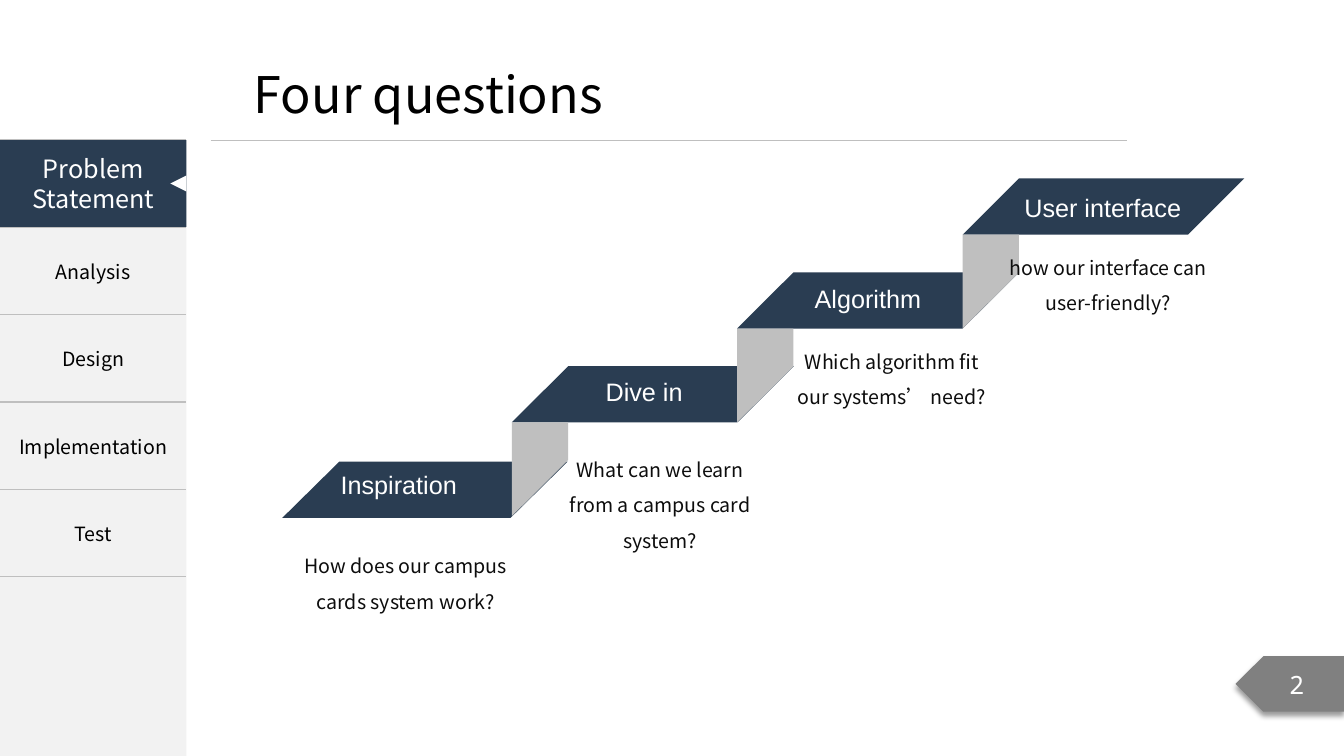
from dataclasses import dataclass

from lxml import etree
from pptx import Presentation
from pptx.dml.color import RGBColor
from pptx.enum.shapes import MSO_CONNECTOR, MSO_SHAPE
from pptx.enum.text import MSO_ANCHOR, PP_ALIGN
from pptx.oxml.ns import qn
from pptx.util import Pt

LEFT, CENTER = PP_ALIGN.LEFT, PP_ALIGN.CENTER
TOP, MIDDLE = MSO_ANCHOR.TOP, MSO_ANCHOR.MIDDLE
RECTANGLE, TRIANGLE = MSO_SHAPE.RECTANGLE, MSO_SHAPE.ISOSCELES_TRIANGLE
TREAD, TAG = MSO_SHAPE.FLOWCHART_DATA, MSO_SHAPE.PENTAGON
STRAIGHT = MSO_CONNECTOR.STRAIGHT
TITLE_ONLY = 5


@dataclass(frozen=True)
class Theme:
    navy: str = "2A3D52"
    panel: str = "F2F2F2"
    rule: str = "BFBFBF"
    tag: str = "808080"
    white: str = "FFFFFF"
    black: str = "000000"
    ink: str = "0D0D0D"
    body_font: str = "Noto Sans CJK SC"
    label_font: str = "Arial"
    number_font: str = "Noto Sans Mono"
    title: int = 36
    label: int = 18
    body: int = 14


THEME = Theme()

SECTIONS = ["Analysis", "Design", "Implementation", "Test"]

# label, tread (left, top, width), label (left, top), label alignment,
# question, question (left, top, width)
STEPS = [
    ("Inspiration", (201.6, 329.8, 203.8), (236.2, 331.9), LEFT,
     "How does our campus cards system work?", (201.6, 385.2, 176.4)),
    ("Dive in", (365.6, 261.5, 201.4), (378, 265), CENTER,
     "What can we learn from a campus card system?", (396, 316.1, 151.2)),
    ("Algorithm", (526.5, 194.5, 201.4), (537.8, 198.7), CENTER,
     "Which algorithm fit our systems’ need?", (561.6, 239, 151.2)),
    ("User interface", (687.6, 127.5, 201.2), (705.6, 133.9), CENTER,
     "how our interface can user-friendly?", (713.5, 172.1, 156.2)),
]
TREAD_HEIGHT = 40.2
RISER_WIDTH, RISER_SIDE, RISER_HEIGHT = 40.2, 27, 67


def rgb(value):
    return RGBColor.from_string(value)


def write(frame, text, size=THEME.body, color=THEME.black, font=THEME.body_font,
          align=CENTER, anchor=TOP, inset=(7.2, 3.6), leading=None):
    frame.word_wrap = True
    frame.vertical_anchor = anchor
    frame.margin_left = frame.margin_right = Pt(inset[0])
    frame.margin_top = frame.margin_bottom = Pt(inset[1])
    paragraph = frame.paragraphs[0]
    paragraph.alignment = align
    if leading:
        paragraph.line_spacing = Pt(leading)
    run = paragraph.add_run()
    run.text = text
    run.font.size = Pt(size)
    run.font.color.rgb = rgb(color)
    run.font.name = font
    etree.SubElement(run.font._element, qn("a:ea"), typeface=font)


def add_text(slide, box, text, **style):
    textbox = slide.shapes.add_textbox(*map(Pt, box))
    write(textbox.text_frame, text, **style)


def paint(shape, color):
    shape.shadow.inherit = False
    shape.fill.solid()
    shape.fill.fore_color.rgb = rgb(color)
    shape.line.fill.background()
    return shape


def add_block(slide, kind, box, color):
    return paint(slide.shapes.add_shape(kind, *map(Pt, box)), color)


def rule_cell(cell):
    """Give a cell horizontal rules only and no fill."""
    cell.fill.background()
    properties = cell._tc.get_or_add_tcPr()
    for index, side in enumerate(("lnL", "lnR", "lnT", "lnB")):
        border = etree.Element(qn(f"a:{side}"), w=str(Pt(1)))
        if side in ("lnT", "lnB"):
            fill = etree.SubElement(border, qn("a:solidFill"))
            etree.SubElement(fill, qn("a:srgbClr"), val=THEME.rule)
        else:
            etree.SubElement(border, qn("a:noFill"))
        properties.insert(index, border)


def add_sidebar(slide, left, top, width, height):
    add_block(slide, RECTANGLE, (left, top, width, height), THEME.panel)
    row_height = 62.4
    row_count = len(SECTIONS) + 1
    menu = slide.shapes.add_table(row_count, 1, Pt(left), Pt(top), Pt(width),
                                  Pt(row_height * row_count)).table
    menu.first_row = menu.horz_banding = False
    for cell in menu.iter_cells():
        rule_cell(cell)
    for row, section in enumerate(SECTIONS, start=1):
        write(menu.cell(row, 0).text_frame, section)
        menu.cell(row, 0).vertical_anchor = MIDDLE

    active = add_block(slide, RECTANGLE, (left, top, width, 62), THEME.navy)
    write(active.text_frame, "Problem Statement", size=THEME.label,
          color=THEME.white, anchor=MIDDLE, leading=21.4)
    size = 11.5
    pointer = add_block(slide, TRIANGLE,
                        (left + width - size, top + 25.3, size, size), THEME.white)
    pointer.rotation = 270


def add_heading(slide, left, top, width, height):
    title = slide.shapes.title
    title.left, title.top = Pt(left), Pt(top)
    title.width, title.height = Pt(width), Pt(height)
    write(title.text_frame, "Four questions", size=THEME.title,
          align=LEFT, anchor=MIDDLE)
    rule_left, rule_top = left - 23.7, top + 59
    rule = slide.shapes.add_connector(STRAIGHT, Pt(rule_left), Pt(rule_top),
                                      Pt(rule_left + 654.5), Pt(rule_top))
    rule.line.color.rgb = rgb(THEME.rule)
    rule.line.width = Pt(0.5)
    etree.SubElement(rule._element.spPr, qn("a:effectLst"))


def add_riser(slide, left, top):
    outline = slide.shapes.build_freeform(Pt(left), Pt(top))
    outline.add_line_segments([
        (Pt(left + RISER_WIDTH), Pt(top)),
        (Pt(left + RISER_WIDTH), Pt(top + RISER_SIDE)),
        (Pt(left), Pt(top + RISER_HEIGHT)),
    ])
    paint(outline.convert_to_shape(), THEME.rule)


def add_staircase(slide):
    for step, (_, (left, top, width), *_) in enumerate(STEPS):
        add_block(slide, TREAD, (left, top, width, TREAD_HEIGHT), THEME.navy)
        if step:
            add_riser(slide, left, top + TREAD_HEIGHT)
    for label, _, label_at, align, question, question_box in STEPS:
        add_text(slide, (*label_at, 164.2, 28.8), label, size=THEME.label,
                 color=THEME.white, font=THEME.label_font, align=align)
        add_text(slide, (*question_box, 51.8), question, color=THEME.ink,
                 inset=(3.6, 2.2), leading=25.3)


def add_page_tag(slide, *box):
    tag = add_block(slide, TAG, box, THEME.tag)
    properties = tag._element.spPr
    properties.find(qn("a:xfrm")).set("flipH", "1")
    shadow = etree.SubElement(properties.find(qn("a:effectLst")), qn("a:outerShdw"),
                              blurRad=str(Pt(4)), dist=str(Pt(3)), dir="5400000",
                              algn="t", rotWithShape="0")
    shade = etree.SubElement(shadow, qn("a:srgbClr"), val=THEME.black)
    etree.SubElement(shade, qn("a:alpha"), val="40000")
    write(tag.text_frame, "2", size=THEME.label, color=THEME.white,
          font=THEME.number_font, anchor=MIDDLE)


def main():
    deck = Presentation()
    deck.slide_width, deck.slide_height = Pt(960), Pt(540)
    slide = deck.slides.add_slide(deck.slide_layouts[TITLE_ONLY])
    add_sidebar(slide, 0, 100, 133.2, 440)
    add_heading(slide, 174.2, 41, 272.2, 51.1)
    add_page_tag(slide, 882.6, 468.7, 77.4, 39.6)
    add_staircase(slide)
    deck.save("out.pptx")


if __name__ == "__main__":
    main()
